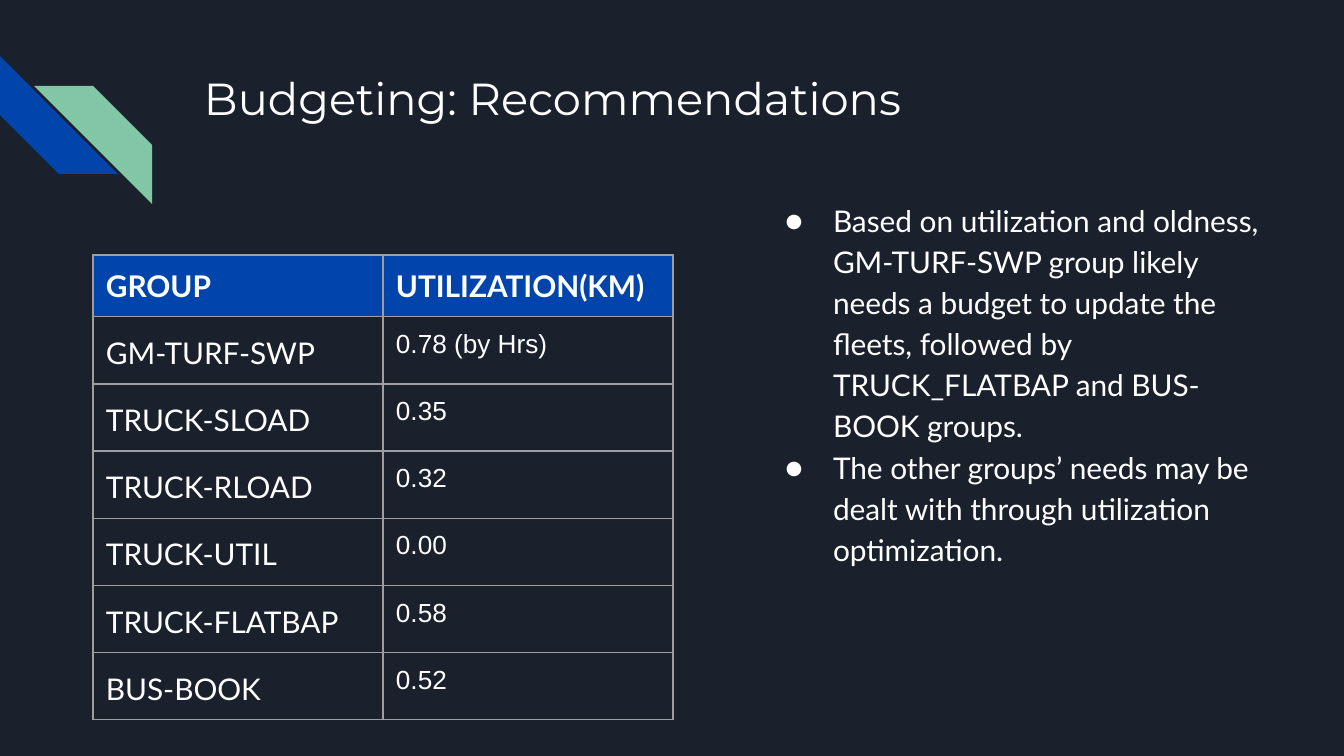
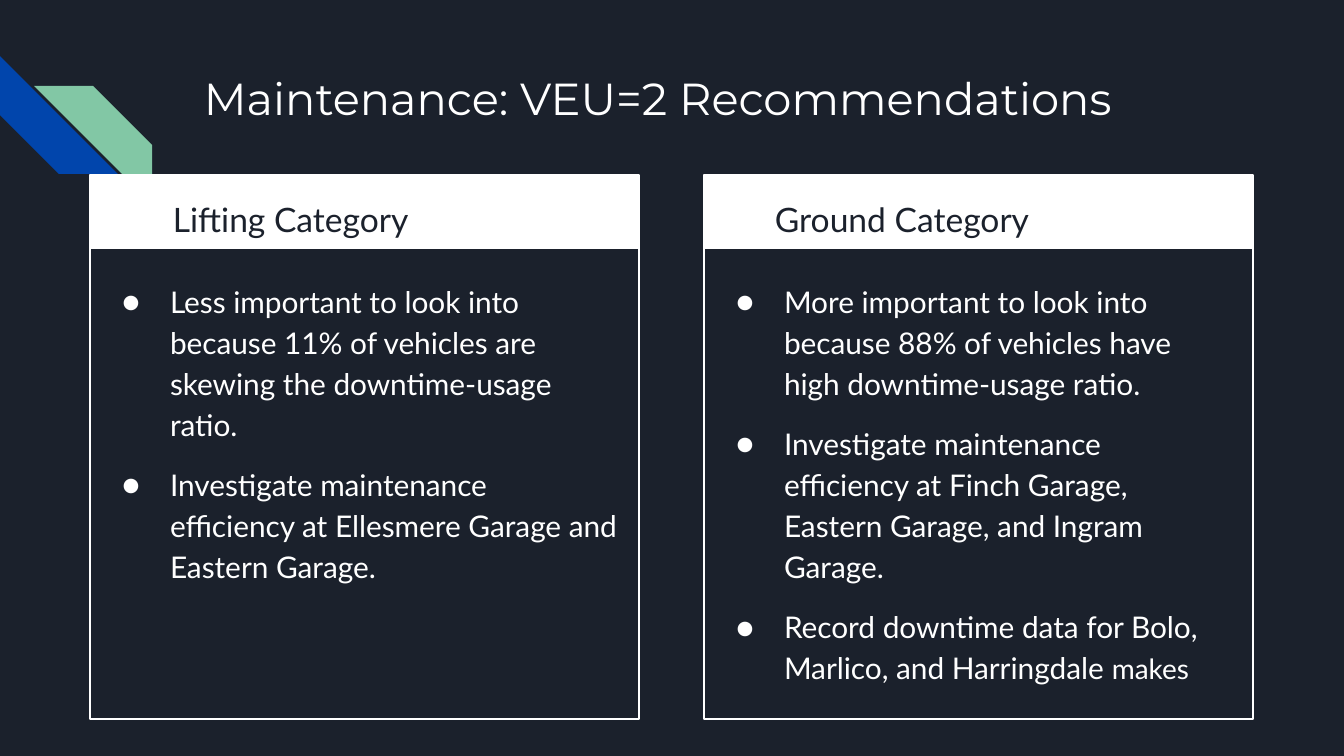
"""Build the two recommendation slides on budgeting and maintenance."""
import lxml.etree
import pptx
import pptx.dml.color
import pptx.enum.shapes
import pptx.oxml.ns
import pptx.util

PX = 914400 / 134.4
NAVY, BLUE, GREEN, WHITE, GREY = "1B212C", "0145AC", "82C7A5", "FFFFFF", "9E9E9E"
INSET = round(13 * PX)
rgb = pptx.dml.color.RGBColor.from_string
qn = pptx.oxml.ns.qn
shapes = pptx.enum.shapes.MSO_SHAPE


def add_runs(p, runs, font="Lato", color=WHITE, bold=False):
    """Add (text, size) runs to a paragraph."""
    for text, size in runs:
        r = p.add_run()
        r.text = text
        r.font.name = font
        r.font.size = pptx.util.Pt(size)
        r.font.bold = bold
        r.font.color.rgb = rgb(color)


def add_text(s, box, paragraphs, font="Lato", color=WHITE, spacing=1.15, bullets=False, gap=0):
    """Add a text box holding one list of runs per paragraph."""
    tf = s.shapes.add_textbox(*[round(v * PX) for v in box]).text_frame
    tf.word_wrap = True
    tf.margin_left = tf.margin_right = tf.margin_top = tf.margin_bottom = INSET
    for i, runs in enumerate(paragraphs):
        p = tf.add_paragraph() if i else tf.paragraphs[0]
        p.line_spacing = spacing
        if i and gap:
            p.space_before = pptx.util.Pt(gap)
        if bullets:
            pPr = p._p.get_or_add_pPr()
            pPr.set("marL", str(round(67 * PX)))
            pPr.set("indent", str(round(-48 * PX)))
            clr = lxml.etree.SubElement(pPr, qn("a:buClr"))
            lxml.etree.SubElement(clr, qn("a:srgbClr"), val=color)
            lxml.etree.SubElement(pPr, qn("a:buFont"), typeface=font)
            lxml.etree.SubElement(pPr, qn("a:buChar"), char="●")
        add_runs(p, runs, font, color)


prs = pptx.Presentation()
prs.slide_width = round(1344 * PX)
prs.slide_height = round(756 * PX)

slides = []
for title in ["Budgeting: Recommendations", "Maintenance: VEU=2 Recommendations"]:
    s = prs.slides.add_slide(prs.slide_layouts[6])
    s.background.fill.solid()
    s.background.fill.fore_color.rgb = rgb(NAVY)
    for x, y, rotation, color in [(0, 56, 270, BLUE), (34, 86, 90, GREEN)]:
        stripe = s.shapes.add_shape(
            shapes.DIAGONAL_STRIPE, round(x * PX), round(y * PX), round(118 * PX), round(118 * PX))
        stripe.rotation = rotation
        stripe.shadow.inherit = False
        stripe.fill.solid()
        stripe.fill.fore_color.rgb = rgb(color)
        stripe.line.fill.background()
    add_text(s, (191, 58, 1035, 134), [[(title, 24)]], font="Montserrat", spacing=1.0)
    slides.append(s)
budgeting, maintenance = slides

add_text(budgeting, (753, 184, 540, 530), [
    [("Based on utilization and oldness, GM-TURF-SWP group likely needs a budget to update "
      "the fleets, followed by TRUCK_FLATBAP and BUS-BOOK groups.", 16)],
    [("The other groups’ needs may be dealt with through utilization optimization.", 16)],
], bullets=True)

rows = [
    ("GROUP", "UTILIZATION(KM)"),
    ("GM-TURF-SWP", "0.78 (by Hrs)"),
    ("TRUCK-SLOAD", "0.35"),
    ("TRUCK-RLOAD", "0.32"),
    ("TRUCK-UTIL", "0.00"),
    ("TRUCK-FLATBAP", "0.58"),
    ("BUS-BOOK", "0.52"),
]
table = budgeting.shapes.add_table(
    len(rows), 2, round(93 * PX), round(255 * PX), round(580 * PX), round(56 * len(rows) * PX)).table
table.first_row = table.horz_banding = False
for i, row in enumerate(rows):
    table.rows[i].height = round(56 * PX)
    for j, text in enumerate(row):
        cell = table.cell(i, j)
        cell.margin_left = cell.margin_right = cell.margin_top = cell.margin_bottom = INSET
        p = cell.text_frame.paragraphs[0]
        if i and j:
            add_runs(p, [(text, 14)], font="Arial")
        else:
            add_runs(p, [(text, 16)], bold=i == 0)
        if i and not j:
            p.line_spacing = 1.15
            p.space_after = pptx.util.Pt(12)
        tcPr = cell._tc.get_or_add_tcPr()
        for side in ("a:lnL", "a:lnR", "a:lnT", "a:lnB"):
            ln = lxml.etree.SubElement(tcPr, qn(side), w=str(pptx.util.Pt(0.75)))
            fill = lxml.etree.SubElement(ln, qn("a:solidFill"))
            lxml.etree.SubElement(fill, qn("a:srgbClr"), val=GREY)
        if i:
            cell.fill.background()
        else:
            cell.fill.solid()
            cell.fill.fore_color.rgb = rgb(BLUE)

cards = [
    (90, 70, "Lifting Category", [
        [("Less important to look into because 11% of vehicles are skewing the "
          "downtime-usage ratio.", 16)],
        [("Investigate maintenance efficiency at Ellesmere Garage and Eastern Garage.", 16)],
    ]),
    (704, 58, "Ground Category", [
        [("More important to look into because 88% of vehicles have high "
          "downtime-usage ratio.", 16)],
        [("Investigate maintenance efficiency at Finch Garage, Eastern Garage, "
          "and Ingram Garage.", 16)],
        [("Record downtime data for Bolo, Marlico, and Harringdale ", 16), ("makes", 15)],
    ]),
]
for x, offset, heading, points in cards:
    for height, filled in [(74, True), (544, False)]:
        sp = maintenance.shapes.add_shape(
            shapes.RECTANGLE, round(x * PX), round(175 * PX), round(549 * PX), round(height * PX))
        sp.shadow.inherit = False
        if filled:
            sp.fill.solid()
            sp.fill.fore_color.rgb = rgb(WHITE)
            sp.line.fill.background()
        else:
            sp.fill.background()
            sp.line.color.rgb = rgb(WHITE)
            sp.line.width = pptx.util.Pt(0.75)
    add_text(maintenance, (x + offset, 180, 420, 63), [[(heading, 18)]], color=NAVY)
    add_text(maintenance, (x, 265, 542, 454), points, bullets=True, gap=10)

prs.save("out.pptx")
